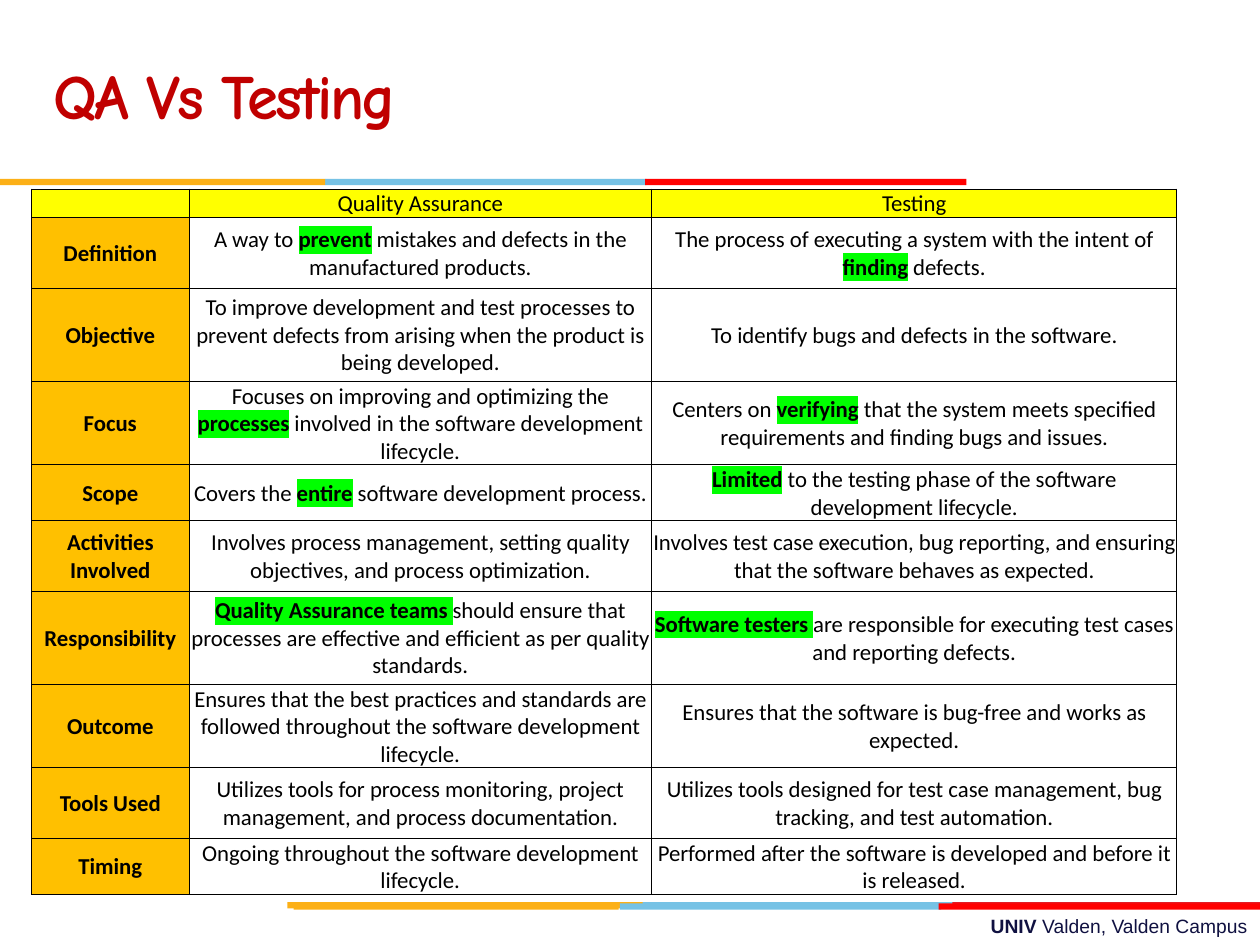
from lxml.etree import SubElement
from pptx import Presentation
from pptx.dml.color import RGBColor
from pptx.enum.shapes import MSO_SHAPE
from pptx.enum.text import MSO_ANCHOR, MSO_AUTO_SIZE, PP_ALIGN
from pptx.oxml.ns import qn
from pptx.util import Inches, Pt

COLOURS = {
    "amber": "FCB017", "sky": "76C2E5", "crimson": "E31C24", "red": "FF0000",
    "navy": "101141", "title": "C00000", "black": "000000",
    "header": "FFFF00", "label": "FFC000", "highlight": "00FF00",
}

# left, top, width, colour
BARS = [
    (5.06, 7.16, 2.55, "sky"), (7.56, 7.16, 2.44, "crimson"), (2.28, 7.16, 2.82, "amber"),
    (4.92, 7.17, 2.55, "sky"), (2.33, 7.17, 2.58, "amber"), (7.45, 7.17, 2.55, "red"),
    (2.58, 1.42, 2.55, "sky"), (0, 1.42, 2.58, "amber"), (5.12, 1.42, 2.55, "red"),
]
BAR_HEIGHT = 0.05

COLUMN_WIDTHS = [1.25, 3.67, 4.17]
ROW_HEIGHTS = [0.21, 0.56, 0.74, 0.61, 0.41, 0.56, 0.74, 0.61, 0.56, 0.41]

# Words between asterisks are bold and highlighted.
COMPARISON = [
    ("", "Quality Assurance", "Testing"),
    ("Definition",
     "A way to *prevent* mistakes and defects in the manufactured products.",
     "The process of executing a system with the intent of *finding* defects."),
    ("Objective",
     "To improve development and test processes to prevent defects from arising "
     "when the product is being developed.",
     "To identify bugs and defects in the software."),
    ("Focus",
     "Focuses on improving and optimizing the *processes* involved in the software "
     "development lifecycle.",
     "Centers on *verifying* that the system meets specified requirements and "
     "finding bugs and issues."),
    ("Scope",
     "Covers the *entire* software development process.",
     "*Limited* to the testing phase of the software development lifecycle."),
    ("Activities Involved",
     "Involves process management, setting quality objectives, and process optimization.",
     "Involves test case execution, bug reporting, and ensuring that the software "
     "behaves as expected."),
    ("Responsibility",
     "*Quality Assurance teams *should ensure that processes are effective and "
     "efficient as per quality standards.",
     "*Software testers *are responsible for executing test cases and reporting defects."),
    ("Outcome",
     "Ensures that the best practices and standards are followed throughout the "
     "software development lifecycle.",
     "Ensures that the software is bug-free and works as expected."),
    ("Tools Used",
     "Utilizes tools for process monitoring, project management, and process documentation.",
     "Utilizes tools designed for test case management, bug tracking, and test automation."),
    ("Timing",
     "Ongoing throughout the software development lifecycle.",
     "Performed after the software is developed and before it is released."),
]


def colour(name):
    return RGBColor.from_string(COLOURS[name])


class SlideBuilder:
    """Holds the text styles and the slide that is being filled."""

    styles = {
        "title": ({"name": "Comic Neue", "size": Pt(36), "bold": True}, "title"),
        "footer": ({"name": "Arial", "size": Pt(11), "bold": False}, "navy"),
        "cell": ({"name": "Calibri", "size": Pt(13), "bold": False}, "black"),
    }
    cell_format = {
        "vertical_anchor": MSO_ANCHOR.MIDDLE,
        "margin_left": Inches(0.01), "margin_right": Inches(0.01),
        "margin_top": Inches(0.01), "margin_bottom": 0,
    }

    def __init__(self, slide):
        self.slide = slide

    def bar(self, left, top, width, fill):
        shape = self.slide.shapes.add_shape(
            MSO_SHAPE.RECTANGLE, Inches(left), Inches(top), Inches(width), Inches(BAR_HEIGHT))
        shape.shadow.inherit = False
        shape.fill.solid()
        shape.fill.fore_color.rgb = colour(fill)
        shape.line.fill.background()

    def text_box(self, left, top, width, height, **frame_format):
        """Add a wrapping text box and return its first paragraph."""
        box = self.slide.shapes.add_textbox(
            Inches(left), Inches(top), Inches(width), Inches(height))
        for name, value in {"word_wrap": True, **frame_format}.items():
            setattr(box.text_frame, name, value)
        return box.text_frame.paragraphs[0]

    def run(self, paragraph, text, style, **changes):
        run = paragraph.add_run()
        run.text = text
        font_format, font_colour = self.styles[style]
        for name, value in {**font_format, **changes}.items():
            setattr(run.font, name, value)
        run.font.color.rgb = colour(font_colour)
        return run

    def highlight(self, run):
        properties = run.font._element
        mark = SubElement(properties, qn("a:highlight"))
        SubElement(mark, qn("a:srgbClr"), val=COLOURS["highlight"])
        properties.find(qn("a:solidFill")).addnext(mark)

    def borders(self, cell):
        properties = cell._tc.get_or_add_tcPr()
        for side in ("a:lnL", "a:lnR", "a:lnT", "a:lnB"):
            line = SubElement(properties, qn(side), w=str(Pt(0.5)))
            fill = SubElement(line, qn("a:solidFill"))
            SubElement(fill, qn("a:srgbClr"), val=COLOURS["black"])

    def cell(self, cell, text, fill, bold):
        for name, value in self.cell_format.items():
            setattr(cell, name, value)
        self.borders(cell)
        if fill:
            cell.fill.solid()
            cell.fill.fore_color.rgb = colour(fill)
        else:
            cell.fill.background()
        paragraph = cell.text_frame.paragraphs[0]
        paragraph.alignment = PP_ALIGN.CENTER
        for index, part in enumerate(text.split("*")):
            marked = index % 2 == 1
            if part:
                run = self.run(paragraph, part, "cell", bold=bold or marked)
                if marked:
                    self.highlight(run)
        if not text:
            # An empty cell takes its line height from the end mark.
            SubElement(paragraph._p, qn("a:endParaRPr"), sz="1300")

    def table(self, left, top, rows):
        frame = self.slide.shapes.add_table(
            len(rows), len(COLUMN_WIDTHS), Inches(left), Inches(top),
            Inches(sum(COLUMN_WIDTHS)), Inches(sum(ROW_HEIGHTS)))
        table = frame.table
        table.first_row = table.horz_banding = False
        for column, width in zip(table.columns, COLUMN_WIDTHS):
            column.width = Inches(width)
        for row_index, (row, height) in enumerate(zip(rows, ROW_HEIGHTS)):
            table.rows[row_index].height = Inches(height)
            for column_index, text in enumerate(row):
                is_label = row_index > 0 and column_index == 0
                fill = "header" if row_index == 0 else "label" if is_label else None
                self.cell(table.cell(row_index, column_index), text, fill, is_label)


def main():
    presentation = Presentation()
    presentation.slide_width, presentation.slide_height = Inches(10), Inches(7.5)
    builder = SlideBuilder(presentation.slides.add_slide(presentation.slide_layouts[6]))

    footer = builder.text_box(3.58, 7.21, 6.42, 0.29,
                              auto_size=MSO_AUTO_SIZE.SHAPE_TO_FIT_TEXT)
    footer.alignment = PP_ALIGN.RIGHT
    builder.run(footer, "UNIV ", "footer", bold=True)
    builder.run(footer, "Valden, Valden Campus", "footer")

    for bar in BARS:
        builder.bar(*bar)

    title = builder.text_box(0.33, 0.17, 6.92, 1.25, vertical_anchor=MSO_ANCHOR.MIDDLE)
    title.line_spacing = Pt(36)
    title_run = builder.run(title, "QA Vs Testing", "title")
    title_run.font._element.set("spc", "-150")

    builder.table(0.25, 1.5, COMPARISON)
    presentation.save("out.pptx")


if __name__ == "__main__":
    main()
